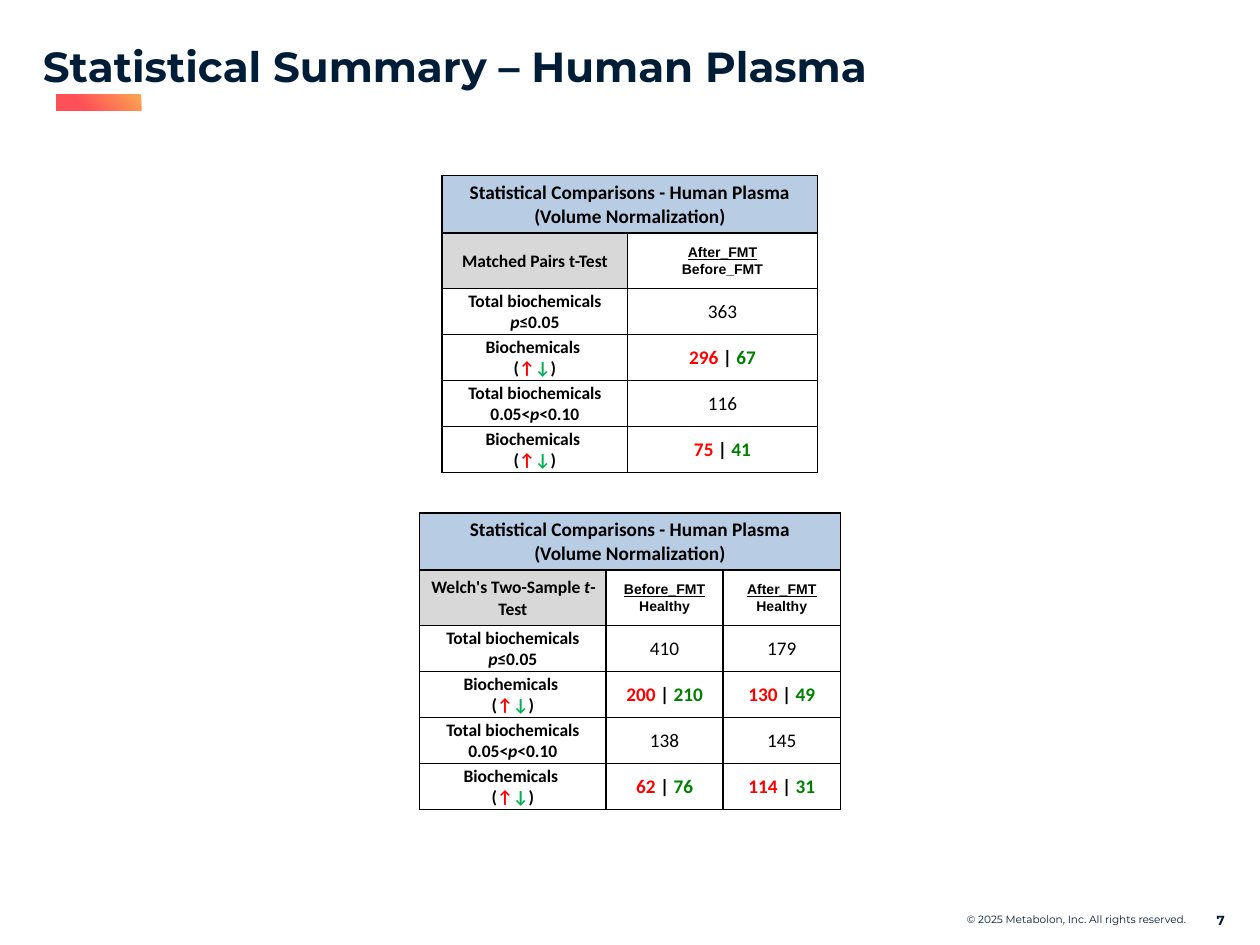
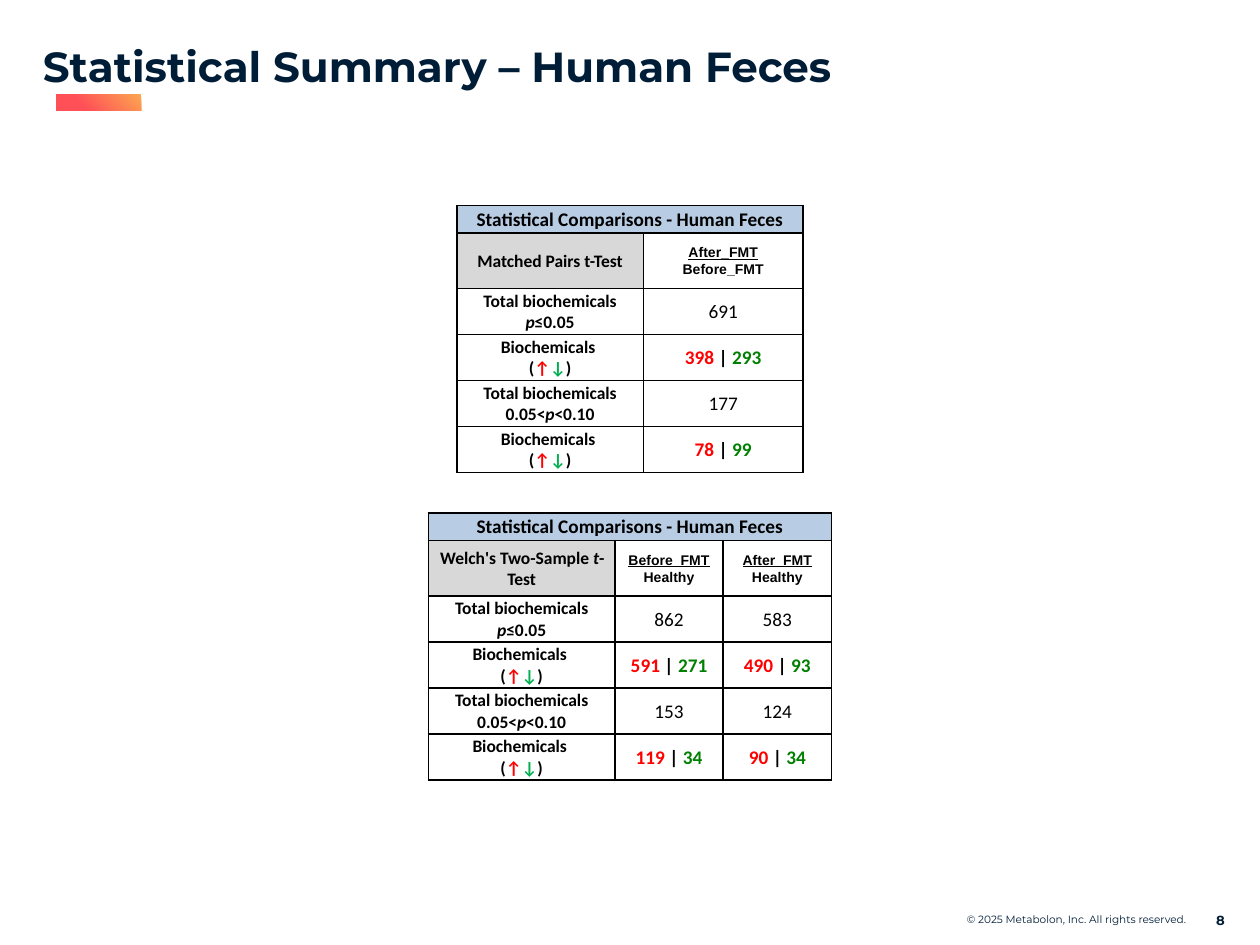
"""Build two slides of statistical summary tables for human plasma and feces."""
from lxml import etree
from pptx import Presentation
from pptx import util as u
from pptx.dml import color
from pptx.enum import shapes, text
from pptx.oxml import ns

GRID = 0.1
NAVY, BLACK, WHITE = "001D37", "000000", "FFFFFF"
CORAL, ORANGE = "FF4F57", "FCA750"
BANNER, TEST = "B8CCE4", "D8D8D8"
UP, DOWN, ARROW_DOWN = "FF0000", "008000", "00B050"
BRAND, BODY, GROUP = "Montserrat", "Calibri", "Arial"
LEFT, CENTER, RIGHT = text.PP_ALIGN.LEFT, text.PP_ALIGN.CENTER, text.PP_ALIGN.RIGHT
TOP, MIDDLE, BOTTOM = text.MSO_ANCHOR.TOP, text.MSO_ANCHOR.MIDDLE, text.MSO_ANCHOR.BOTTOM

BANNER_LINE, GROUP_ROW, RESULT_ROW = 2.2, 2.2, 3.65
TALL_BANNER = 4.55
UPPER_BOTTOM, LOWER_TOP = 37.5, 40.7

P = ("p", {"italic": True})
DIRECTIONS = ["Biochemicals \n(", ("↑", {"fill": UP}), ("↓", {"fill": ARROW_DOWN}), ")"]
RESULT_LABELS = [["Total biochemicals ", P, "≤0.05"], DIRECTIONS,
                 ["Total biochemicals 0.05<", P, "<0.10"], DIRECTIONS]
MATCHED = ["Matched Pairs t-Test"]
WELCH = ["Welch's Two-Sample ", ("t", {"italic": True}), "-Test"]


def rgb(value):
    return color.RGBColor.from_string(value)


def grid(units):
    return u.Inches(units * GRID)


def write(frame, runs, align=LEFT, spacing=None, **style):
    """Fill the first paragraph with runs; a run is a string or (string, changes)."""
    paragraph = frame.paragraphs[0]
    paragraph.alignment = align
    if spacing:
        paragraph.line_spacing = spacing
    for item in runs:
        words, changes = (item, {}) if isinstance(item, str) else item
        look = {"size": 11, "font": BODY, "fill": BLACK, "bold": False,
                "italic": False, "underline": False, **style, **changes}
        for index, line in enumerate(words.split("\n")):
            if index:
                paragraph.add_line_break()
            run = paragraph.add_run()
            run.text = line
            run.font.size, run.font.name = u.Pt(look["size"]), look["font"]
            run.font.bold, run.font.italic = look["bold"], look["italic"]
            run.font.underline = look["underline"]
            run.font.color.rgb = rgb(look["fill"])


def result_runs(value):
    """Return a plain total, or a red and green pair of counts."""
    if isinstance(value, int):
        return [(str(value), {"bold": False})]
    rising, falling = value
    return [(f"{rising} ", {"fill": UP}), "|", (f" {falling}", {"fill": DOWN})]


class Deck:
    """Holds the presentation, its shared style and the current slide."""

    def __init__(self):
        self.file = Presentation()
        self.file.slide_width, self.file.slide_height = grid(100), grid(75)
        self.slide = None

    def label(self, words, left, top, width, height, anchor=MIDDLE, inset=True, **style):
        box = self.slide.shapes.add_textbox(grid(left), grid(top), grid(width), grid(height))
        frame = box.text_frame
        frame.word_wrap, frame.vertical_anchor = True, anchor
        if not inset:
            frame.margin_left = frame.margin_right = 0
            frame.margin_top = frame.margin_bottom = 0
        write(frame, [words], **{"font": BRAND, "fill": NAVY, **style})

    def accent(self):
        bar = self.slide.shapes.add_shape(
            shapes.MSO_SHAPE.RECTANGLE, grid(4.5), grid(7.5), grid(6.7), grid(1.3))
        bar.shadow.inherit = False
        bar.line.fill.background()
        bar.fill.gradient()
        for stop, position, shade in zip(bar.fill.gradient_stops, (0.3, 1), (CORAL, ORANGE)):
            stop.position, stop.color.rgb = position, rgb(shade)
        linear = next(bar.element.iter(ns.qn("a:lin")))
        radial = etree.Element(ns.qn("a:path"), path="circle")
        etree.SubElement(radial, ns.qn("a:fillToRect"), t="100000", r="100000")
        linear.getparent().replace(linear, radial)

    def page(self, title, number):
        self.slide = self.file.slides.add_slide(self.file.slide_layouts[6])
        self.label(str(number), 94.7, 71, 2.5, 4, inset=False, align=RIGHT, size=7.5, bold=True)
        self.accent()
        self.label(title, 3.4, 2.1, 88.3, 5.2, BOTTOM, inset=False,
                   size=24, bold=True, spacing=0.9)
        self.label("© 2025 Metabolon, Inc. All rights reserved.", 63.4, 71, 31.7, 4,
                   align=RIGHT, size=6)

    def cell(self, cell, runs, fill=None, anchor=MIDDLE, open_side=None, **style):
        cell.margin_left = cell.margin_right = cell.margin_top = u.Inches(0.01)
        cell.margin_bottom = 0
        cell.vertical_anchor = anchor
        properties = cell._tc.get_or_add_tcPr()
        for side in "LRTB":
            line = etree.SubElement(properties, ns.qn(f"a:ln{side}"), w=str(u.Pt(1)))
            if side == open_side:
                etree.SubElement(line, ns.qn("a:noFill"))
            else:
                solid = etree.SubElement(line, ns.qn("a:solidFill"))
                etree.SubElement(solid, ns.qn("a:srgbClr"), val=BLACK)
        if fill:
            cell.fill.solid()
            cell.fill.fore_color.rgb = rgb(fill)
        else:
            cell.fill.background()
        write(cell.text_frame, runs, align=CENTER, **{"bold": True, **style})

    def comparison(self, banner, test, groups, results, columns, top=None, banner_height=BANNER_LINE):
        """Draw one centred table; without a top it ends at the upper table's bottom."""
        rows = [banner_height, GROUP_ROW, GROUP_ROW] + [RESULT_ROW] * len(RESULT_LABELS)
        width, height = sum(columns), sum(rows)
        top = UPPER_BOTTOM - height if top is None else top
        table = self.slide.shapes.add_table(
            len(rows), len(columns), grid(50 - width / 2), grid(top),
            grid(width), grid(height)).table
        table.first_row = table.horz_banding = False
        for column, size in zip(table.columns, columns):
            column.width = grid(size)
        for row, size in zip(table.rows, rows):
            row.height = grid(size)
        table.cell(0, 0).merge(table.cell(0, len(columns) - 1))
        table.cell(1, 0).merge(table.cell(2, 0))
        for index in range(len(columns)):
            self.cell(table.cell(0, index), [] if index else [banner], BANNER)
        for row, runs in ((1, test), (2, [])):
            self.cell(table.cell(row, 0), runs, TEST, size=10)
        for index, (numerator, denominator) in enumerate(groups, 1):
            self.cell(table.cell(1, index), [numerator], anchor=BOTTOM, open_side="B",
                      size=8, font=GROUP, underline=True)
            self.cell(table.cell(2, index), [denominator], anchor=TOP, open_side="T",
                      size=8, font=GROUP)
        for row, (label, values) in enumerate(zip(RESULT_LABELS, results), 3):
            self.cell(table.cell(row, 0), label, WHITE, size=10)
            for index, value in enumerate(values, 1):
                self.cell(table.cell(row, index), result_runs(value))


def main():
    deck = Deck()
    paired = [("After_FMT", "Before_FMT")]
    healthy = [("Before_FMT", "Healthy"), ("After_FMT", "Healthy")]

    deck.page("Statistical Summary – Human Plasma", 7)
    plasma = "Statistical Comparisons - Human Plasma\n(Volume Normalization)"
    deck.comparison(plasma, MATCHED, paired, [[363], [(296, 67)], [116], [(75, 41)]],
                    [14.7, 15.1], banner_height=TALL_BANNER)
    deck.comparison(plasma, WELCH, healthy,
                    [[410, 179], [(200, 210), (130, 49)], [138, 145], [(62, 76), (114, 31)]],
                    [14.8, 9.3, 9.3], LOWER_TOP, TALL_BANNER)

    deck.page("Statistical Summary – Human Feces", 8)
    feces = "Statistical Comparisons - Human Feces"
    deck.comparison(feces, MATCHED, paired, [[691], [(398, 293)], [177], [(78, 99)]],
                    [14.8, 12.7])
    deck.comparison(feces, WELCH, healthy,
                    [[862, 583], [(591, 271), (490, 93)], [153, 124], [(119, 34), (90, 34)]],
                    [14.8, 8.6, 8.6], LOWER_TOP)

    deck.file.save("out.pptx")


if __name__ == "__main__":
    main()
